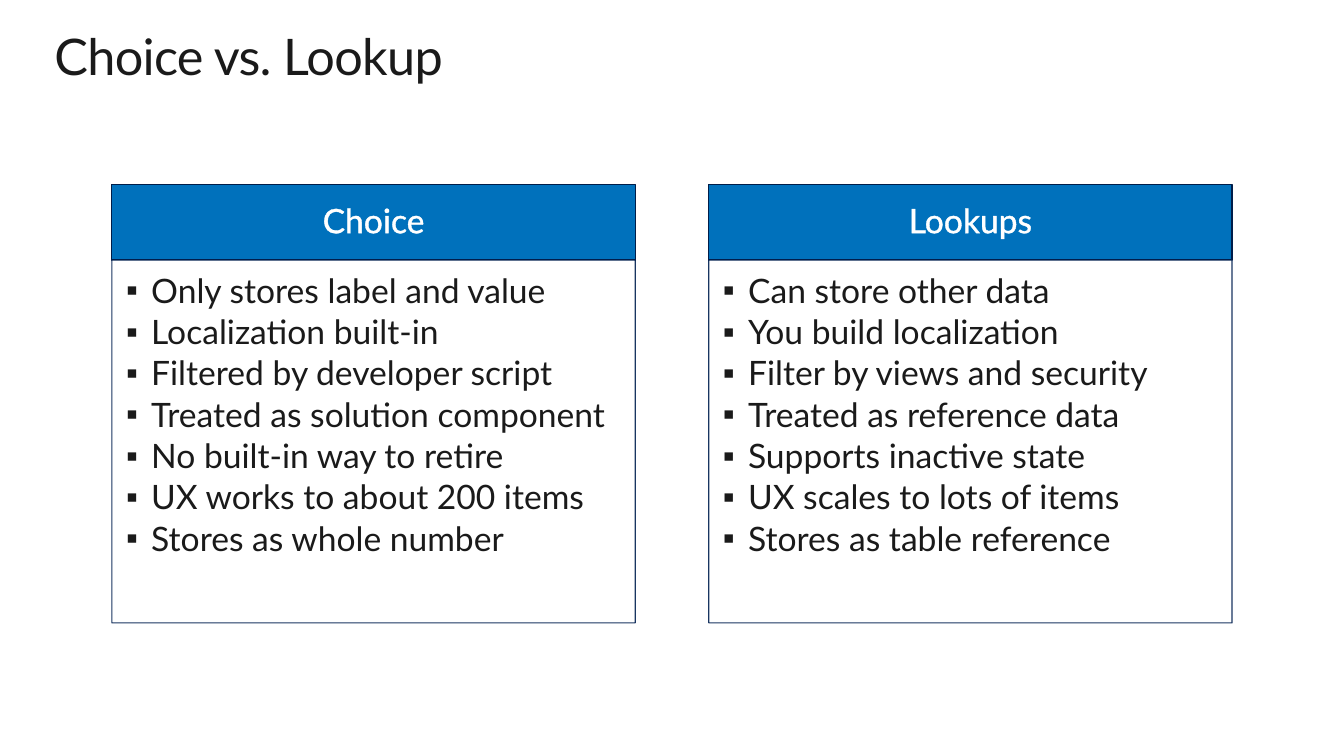
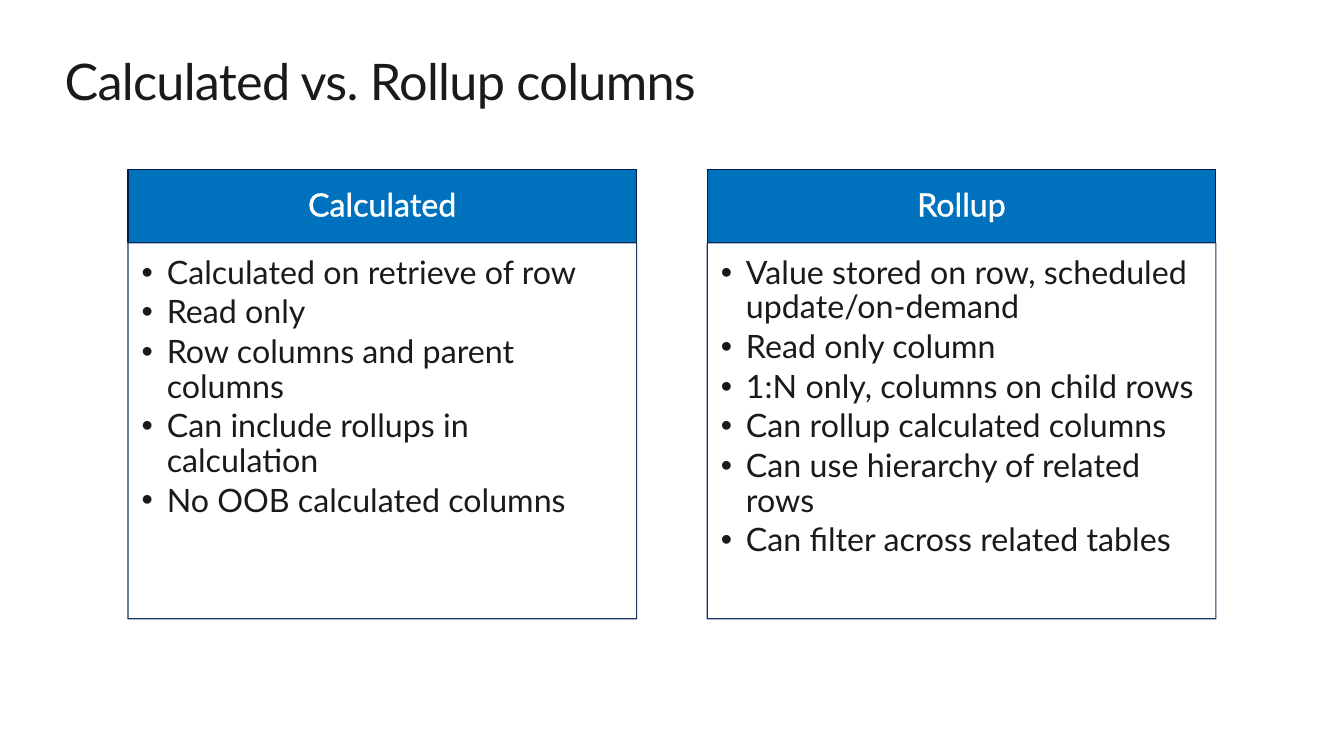
from collections import namedtuple

from lxml.etree import SubElement
from pptx import Presentation
from pptx.dml.color import RGBColor
from pptx.enum.shapes import MSO_SHAPE
from pptx.enum.text import MSO_ANCHOR, PP_ALIGN
from pptx.oxml import parse_xml
from pptx.oxml.ns import nsdecls, qn
from pptx.util import Inches, Pt

SLIDE_WIDTH, SLIDE_HEIGHT = 13.33, 7.5
FONT = "Lato"
INK = RGBColor(0x1A, 0x1A, 0x1A)
WHITE = RGBColor(0xFF, 0xFF, 0xFF)
HEADER_BLUE = RGBColor(0x00, 0x71, 0xBC)
HEADER_EDGE = RGBColor(0x00, 0x1D, 0x49)
BODY_EDGE = RGBColor(0x00, 0x20, 0x50)
TITLE_SIZE, TITLE_HEIGHT = 36, 0.61
BASE_SIZE = 24  # text size at which the insets below apply
HEADER_INSETS = (0.19, 0.11, 0.19, 0.11)
BODY_INSETS = (0.14, 0.14, 0.19, 0.21)
BULLET_INDENT = 0.25

Box = namedtuple("Box", "left top width height")


def place(box):
    """Return a box in inches as slide lengths."""
    return [Inches(length) for length in box]


def scaled(insets, size):
    """Scale insets with the text size."""
    return [inset * size / BASE_SIZE for inset in insets]


def add_bullet(paragraph, character):
    """Give a paragraph a hanging bullet."""
    properties = paragraph._p.get_or_add_pPr()
    properties.set("marL", str(Inches(BULLET_INDENT)))
    properties.set("indent", str(-Inches(BULLET_INDENT)))
    SubElement(properties, qn("a:buFont"), typeface="Arial")
    SubElement(properties, qn("a:buChar"), char=character)


def outline_text(run, color, width):
    """Draw an outline around the letters of a run."""
    run._r.get_or_add_rPr().insert(0, parse_xml(
        f'<a:ln {nsdecls("a")} w="{Pt(width)}"><a:solidFill>'
        f'<a:srgbClr val="{color}"/></a:solidFill></a:ln>'))


def make_translucent(color_format, percent):
    """Set the opacity of a solid fill or line."""
    color = color_format._xFill.find(qn("a:srgbClr"))
    SubElement(color, qn("a:alpha"), val=str(percent * 1000))


def write_text(shape, lines, size, color=INK, align=PP_ALIGN.LEFT,
               anchor=MSO_ANCHOR.TOP, insets=(0, 0, 0, 0), line_spacing=1.0,
               after=0, bullet=None, tracking=0, outline=0):
    """Fill a shape with one formatted paragraph per line."""
    frame = shape.text_frame
    frame.word_wrap = True
    frame.vertical_anchor = anchor
    (frame.margin_left, frame.margin_top,
     frame.margin_right, frame.margin_bottom) = place(insets)
    for index, line in enumerate(lines):
        paragraph = frame.add_paragraph() if index else frame.paragraphs[0]
        paragraph.alignment = align
        paragraph.line_spacing = line_spacing
        paragraph.space_after = Pt(after * size)
        if bullet:
            add_bullet(paragraph, bullet)
        run = paragraph.add_run()
        run.text = line
        run.font.name = FONT
        run.font.size = Pt(size)
        run.font.color.rgb = color
        if tracking:
            run._r.get_or_add_rPr().set("spc", str(round(tracking * 100)))
        if outline:
            outline_text(run, color, outline)


def add_panel(slide, box, fill, edge, opacity=None):
    """Add a plain bordered rectangle."""
    shape = slide.shapes.add_shape(MSO_SHAPE.RECTANGLE, *place(box))
    shape.shadow.inherit = False
    shape.fill.solid()
    shape.fill.fore_color.rgb = fill
    shape.line.color.rgb = edge
    shape.line.width = Pt(0.85)
    if opacity:
        for color_format in (shape.fill.fore_color, shape.line.color):
            make_translucent(color_format, opacity)
    return shape


def add_title(slide, text, left, top):
    """Add the slide title, with equal margins left and right."""
    box = Box(left, top, SLIDE_WIDTH - 2 * left, TITLE_HEIGHT)
    write_text(slide.shapes.add_textbox(*place(box)), [text], TITLE_SIZE,
               tracking=-0.5)


def add_card(slide, box, header_height, heading, points, size, bullet):
    """Add a heading band above a bordered bullet list."""
    header = add_panel(slide, box._replace(height=header_height),
                       HEADER_BLUE, HEADER_EDGE)
    write_text(header, [heading], size, color=WHITE, align=PP_ALIGN.CENTER,
               anchor=MSO_ANCHOR.MIDDLE, insets=scaled(HEADER_INSETS, size),
               line_spacing=0.9, after=0.35, outline=0.75)
    body_box = box._replace(top=box.top + header_height,
                            height=box.height - header_height)
    body = add_panel(slide, body_box, WHITE, BODY_EDGE, opacity=90)
    write_text(body, points, size, insets=scaled(BODY_INSETS, size),
               line_spacing=0.9, after=0.15, bullet=bullet)


def add_comparison(presentation, title, title_at, box, gap, header_height,
                   size, bullet, cards):
    """Add a slide that sets cards side by side in a box."""
    slide = presentation.slides.add_slide(presentation.slide_layouts[6])
    add_title(slide, title, *title_at)
    width = (box.width - gap * (len(cards) - 1)) / len(cards)
    for column, (heading, points) in enumerate(cards.items()):
        card_box = box._replace(left=box.left + column * (width + gap),
                                width=width)
        add_card(slide, card_box, header_height, heading, points, size, bullet)


def centred(margin, top, height):
    """Return a box with equal margins left and right."""
    return Box(margin, top, SLIDE_WIDTH - 2 * margin, height)


presentation = Presentation()
presentation.slide_width = Inches(SLIDE_WIDTH)
presentation.slide_height = Inches(SLIDE_HEIGHT)

add_comparison(
    presentation, "Choice vs. Lookup", title_at=(0.54, 0.25),
    box=centred(1.11, 1.83, 4.35), gap=0.73, header_height=0.75,
    size=24, bullet="▪",
    cards={
        "Choice": [
            "Only stores label and value",
            "Localization built-in",
            "Filtered by developer script",
            "Treated as solution component",
            "No built-in way to retire",
            "UX works to about 200 items",
            "Stores as whole number",
        ],
        "Lookups": [
            "Can store other data",
            "You build localization",
            "Filter by views and security",
            "Treated as reference data",
            "Supports inactive state",
            "UX scales to lots of items",
            "Stores as table reference",
        ],
    })

add_comparison(
    presentation, "Calculated vs. Rollup columns", title_at=(0.64, 0.5),
    box=centred(1.27, 1.68, 4.46), gap=0.7, header_height=0.73,
    size=23, bullet="•",
    cards={
        "Calculated": [
            "Calculated on retrieve of row",
            "Read only",
            "Row columns and parent columns",
            "Can include rollups in calculation",
            "No OOB calculated columns",
        ],
        "Rollup": [
            "Value stored on row, scheduled update/on-demand",
            "Read only column",
            "1:N only, columns on child rows",
            "Can rollup calculated columns",
            "Can use hierarchy of related rows",
            "Can filter across related tables",
        ],
    })

presentation.save("out.pptx")
